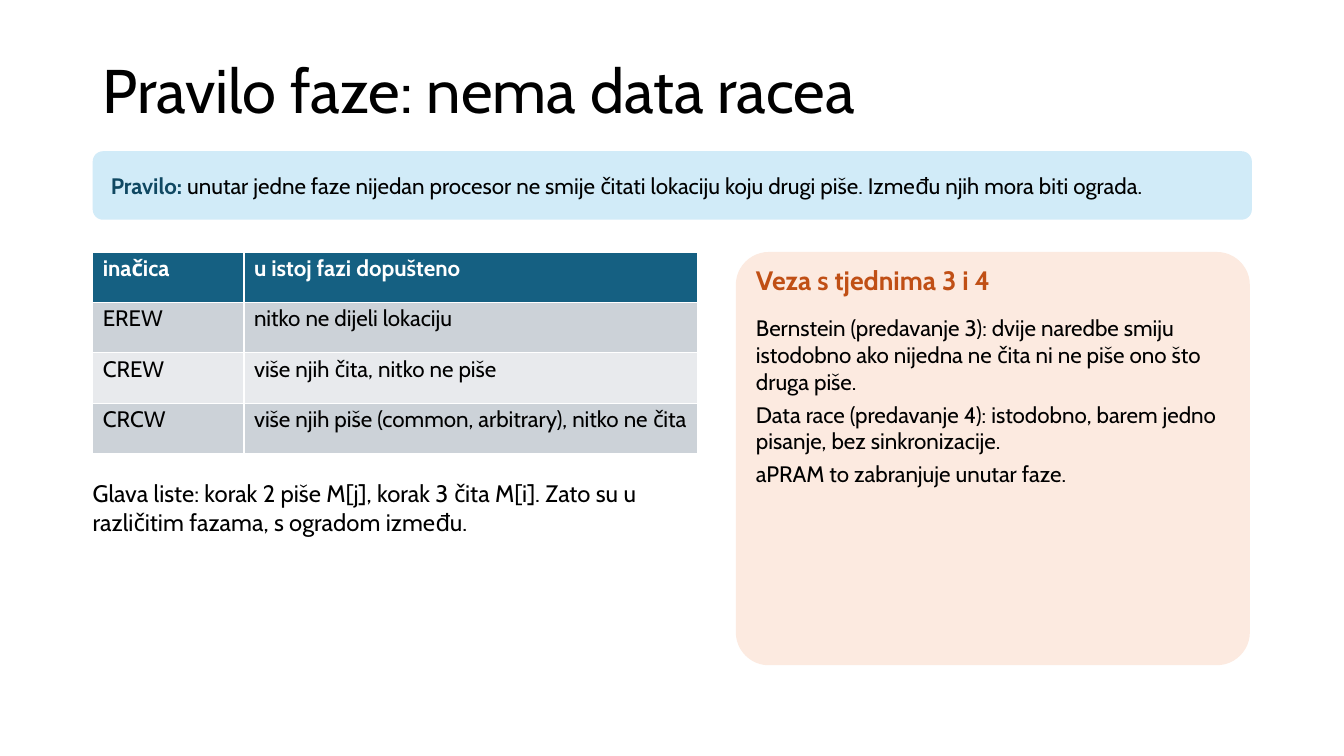
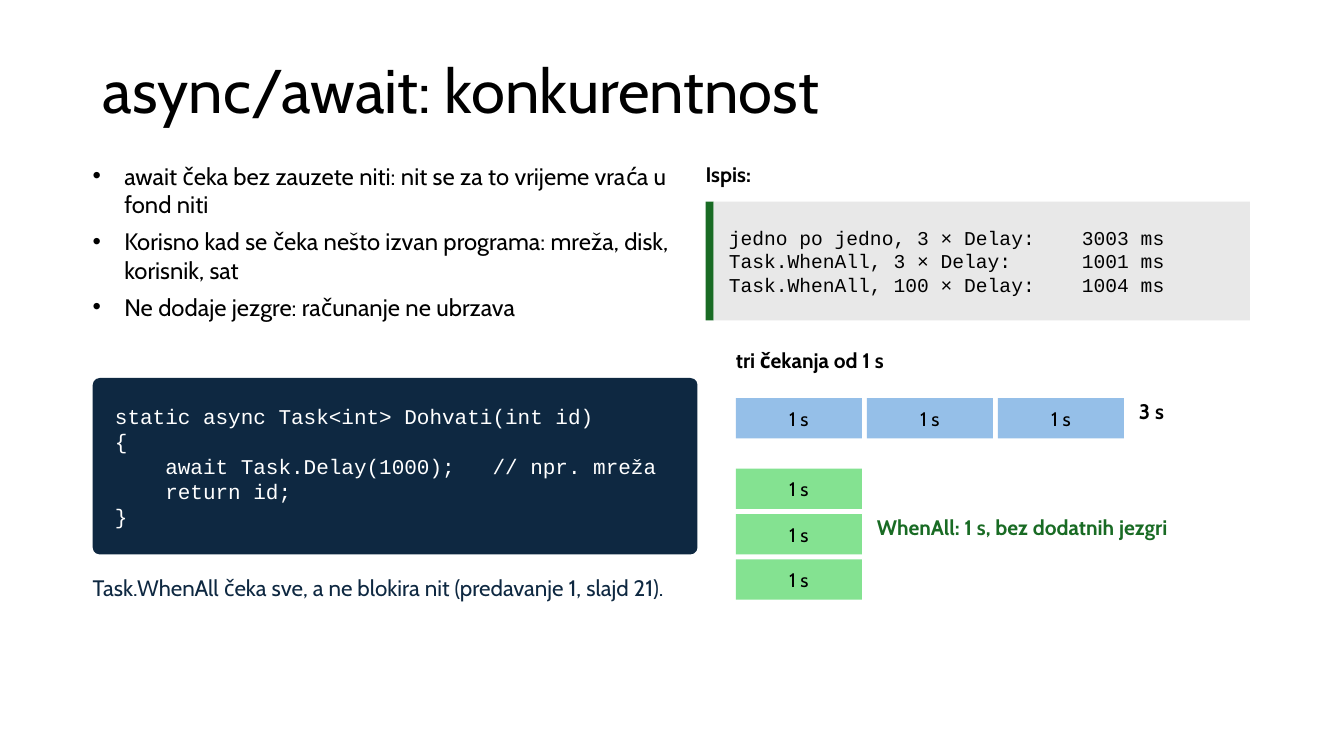
from lxml import etree
from pptx import Presentation
from pptx import util as u
from pptx.dml.color import RGBColor
from pptx.enum import shapes, text
from pptx.oxml import ns

Pt = u.Pt
COLORS = {
    "black": "000000", "white": "FFFFFF", "navy": "0E2841",
    "teal": "156082", "deep_teal": "104862", "sky": "D1EBF8",
    "orange": "C04F15", "peach": "FCEAE0",
    "green": "196B24", "light_green": "84E291", "blue": "95BFE8",
    "gray": "E8E8E8", "band_dark": "CCD2D8", "band_light": "E8EAED",
}
SANS, MONO = "Cabin", "Courier New"
RECT = shapes.MSO_SHAPE.RECTANGLE
ROUND = shapes.MSO_SHAPE.ROUNDED_RECTANGLE
TITLE_AND_BODY, TITLE_ONLY = 1, 5

# Shared columns, in points
LEFT, FULL_WIDTH, LEFT_WIDTH = 66.24, 828, 432
RIGHT, RIGHT_WIDTH = 525.6, 367.2
OUTPUT_LEFT = 504


def rgb(name):
    return RGBColor.from_string(COLORS[name])


class SlideBuilder:
    def __init__(self):
        self.deck = Presentation()
        self.deck.slide_width, self.deck.slide_height = Pt(960), Pt(540)
        self.page = None

    def new_page(self, title, layout):
        self.page = self.deck.slides.add_slide(self.deck.slide_layouts[layout])
        box = self.page.shapes.title
        self.place(box, LEFT, 28.8, FULL_WIDTH, 76.32)
        self.fill_text(box.text_frame, title, 44, margins=(7.2, 3.6, 7.2, 3.6),
                       anchor=text.MSO_ANCHOR.MIDDLE)
        box.text_frame.paragraphs[0].line_spacing = 0.9

    def place(self, box, left, top, width, height):
        box.left, box.top = Pt(left), Pt(top)
        box.width, box.height = Pt(width), Pt(height)

    def style(self, span, size, color="black", bold=False, font=SANS):
        span.font.name, span.font.size = font, Pt(size)
        span.font.bold, span.font.color.rgb = bold, rgb(color)

    def fill_text(self, frame, words, size, color="black", bold=False, font=SANS,
                  margins=(0, 0, 0, 0), anchor=text.MSO_ANCHOR.TOP,
                  align=text.PP_ALIGN.LEFT, after=0):
        frame.text = words
        frame.word_wrap = True
        frame.auto_size = text.MSO_AUTO_SIZE.NONE
        frame.vertical_anchor = anchor
        (frame.margin_left, frame.margin_top,
         frame.margin_right, frame.margin_bottom) = map(Pt, margins)
        for para in frame.paragraphs:
            para.alignment = align
            para.space_before, para.space_after = Pt(0), Pt(after)
            for span in para.runs:
                self.style(span, size, color, bold, font)

    def label(self, words, left, top, width, height, size, **look):
        box = self.page.shapes.add_textbox(Pt(left), Pt(top), Pt(width), Pt(height))
        self.fill_text(box.text_frame, words, size, **look)

    def panel(self, left, top, width, height, fill, kind=RECT, corner=None):
        box = self.page.shapes.add_shape(kind, Pt(left), Pt(top), Pt(width), Pt(height))
        box.shadow.inherit = False
        box.fill.solid()
        box.fill.fore_color.rgb = rgb(fill)
        box.line.fill.background()
        if corner is not None:
            box.adjustments[0] = corner
        return box

    def code(self, box, words, size, color, indent):
        self.fill_text(box.text_frame, words, size, color, font=MONO,
                       margins=(indent, 3.6, 7.2, 3.6), anchor=text.MSO_ANCHOR.MIDDLE)

    def rule(self, lead, words):
        box = self.panel(LEFT, 108, FULL_WIDTH, 48.96, "sky", ROUND, 0.15)
        self.fill_text(box.text_frame, lead, 16, "deep_teal", True,
                       margins=(10.8, 3.6, 10.8, 3.6), anchor=text.MSO_ANCHOR.MIDDLE)
        span = box.text_frame.paragraphs[0].add_run()
        span.text = words
        self.style(span, 16)

    def bullets(self, words, left, top, width, height):
        box = self.page.placeholders[1]
        self.place(box, left, top, width, height)
        self.fill_text(box.text_frame, words, 17, after=6)
        for para in box.text_frame.paragraphs:
            props = para._p.get_or_add_pPr()
            props.set("marL", str(Pt(22.5)))
            props.set("indent", str(-Pt(22.5)))
            etree.SubElement(props, ns.qn("a:buFont")).set("typeface", "Arial")
            etree.SubElement(props, ns.qn("a:buChar")).set("char", "•")

    def table(self, rows, left, top, widths, row_height):
        table = self.page.shapes.add_table(
            len(rows), len(widths), Pt(left), Pt(top),
            Pt(sum(widths)), Pt(row_height * len(rows))).table
        for column, width in zip(table.columns, widths):
            column.width = Pt(width)
        for r, row in enumerate(rows):
            header = r == 0
            fill = "teal" if header else "band_dark" if r % 2 else "band_light"
            for c, words in enumerate(row):
                cell = table.cell(r, c)
                cell.fill.solid()
                cell.fill.fore_color.rgb = rgb(fill)
                cell.margin_left = cell.margin_right = Pt(7.2)
                cell.margin_top = cell.margin_bottom = Pt(2.16)
                cell.text_frame.text = words
                self.style(cell.text_frame.paragraphs[0].runs[0], 16,
                           "white" if header else "black", header)

    def wait_bars(self, left, top, fill, step_x=0, step_y=0):
        for i in range(3):
            bar = self.panel(left + i * step_x, top + i * step_y, 90, 28.8, fill)
            self.fill_text(bar.text_frame, "1 s", 14, margins=(3.6, 1.44, 3.6, 1.44),
                           anchor=text.MSO_ANCHOR.MIDDLE, align=text.PP_ALIGN.CENTER)


def phase_rule(builder):
    builder.new_page("Pravilo faze: nema data racea", TITLE_ONLY)
    builder.rule("Pravilo: ", "unutar jedne faze nijedan procesor ne smije čitati "
                 "lokaciju koju drugi piše. Između njih mora biti ograda.")

    # Variants and the note below them
    builder.table([
        ("inačica", "u istoj fazi dopušteno"),
        ("EREW", "nitko ne dijeli lokaciju"),
        ("CREW", "više njih čita, nitko ne piše"),
        ("CRCW", "više njih piše (common, arbitrary), nitko ne čita"),
    ], LEFT, 180, (108, 324), 36)
    builder.label("Glava liste: korak 2 piše M[j], korak 3 čita M[i]. Zato su u "
                  "različitim fazama, s ogradom između.",
                  LEFT, 342, LEFT_WIDTH, 136.8, 17)

    # Card linking to earlier weeks
    builder.panel(RIGHT, 180, RIGHT_WIDTH, 295.2, "peach", ROUND, 0.08)
    builder.label("Veza s tjednima 3 i 4", 540, 188.64, 338.4, 32.4, 19,
                  color="orange", bold=True)
    builder.label("\n".join((
        "Bernstein (predavanje 3): dvije naredbe smiju istodobno ako nijedna "
        "ne čita ni ne piše ono što druga piše.",
        "Data race (predavanje 4): istodobno, barem jedno pisanje, bez sinkronizacije.",
        "aPRAM to zabranjuje unutar faze.",
    )), 540, 224.64, 338.4, 244.8, 16, after=4)


def async_await(builder):
    builder.new_page("async/await: konkurentnost", TITLE_AND_BODY)

    # Left: points, code and note
    builder.bullets("\n".join((
        "await čeka bez zauzete niti: nit se za to vrijeme vraća u fond niti",
        "Korisno kad se čeka nešto izvan programa: mreža, disk, korisnik, sat",
        "Ne dodaje jezgre: računanje ne ubrzava",
    )), LEFT, 115.2, LEFT_WIDTH, 144)
    listing = builder.panel(LEFT, 270, LEFT_WIDTH, 126, "navy", ROUND, 0.04)
    builder.code(listing, "\n".join((
        "static async Task<int> Dohvati(int id)",
        "{",
        "    await Task.Delay(1000);   // npr. mreža",
        "    return id;",
        "}",
    )), 15, "white", 14.4)
    builder.label("Task.WhenAll čeka sve, a ne blokira nit (predavanje 1, slajd 21).",
                  LEFT, 410.4, LEFT_WIDTH, 64.8, 16, color="navy")

    # Right: program output
    builder.label("Ispis:", OUTPUT_LEFT, 115.2, 388.8, 28.8, 15, bold=True)
    builder.panel(OUTPUT_LEFT, 144, 5.76, 84.96, "green")
    output = builder.panel(OUTPUT_LEFT + 5.76, 144, 383.04, 84.96, "gray")
    builder.code(output, "\n".join((
        "jedno po jedno, 3 × Delay:    3003 ms",
        "Task.WhenAll, 3 × Delay:      1001 ms",
        "Task.WhenAll, 100 × Delay:    1004 ms",
    )), 14, "black", 10.8)

    # Right: waits in a row and side by side
    builder.label("tri čekanja od 1 s", RIGHT, 248.4, RIGHT_WIDTH, 28.8, 15, bold=True)
    builder.wait_bars(RIGHT, 284.4, "blue", step_x=93.6)
    builder.label("3 s", 813.6, 284.4, 79.2, 28.8, 15, bold=True)
    builder.wait_bars(RIGHT, 334.8, "light_green", step_y=32.4)
    builder.label("WhenAll: 1 s, bez dodatnih jezgri", 626.4, 367.2, 266.4, 57.6, 15,
                  color="green", bold=True)


def main():
    builder = SlideBuilder()
    phase_rule(builder)
    async_await(builder)
    builder.deck.save("out.pptx")


if __name__ == "__main__":
    main()
